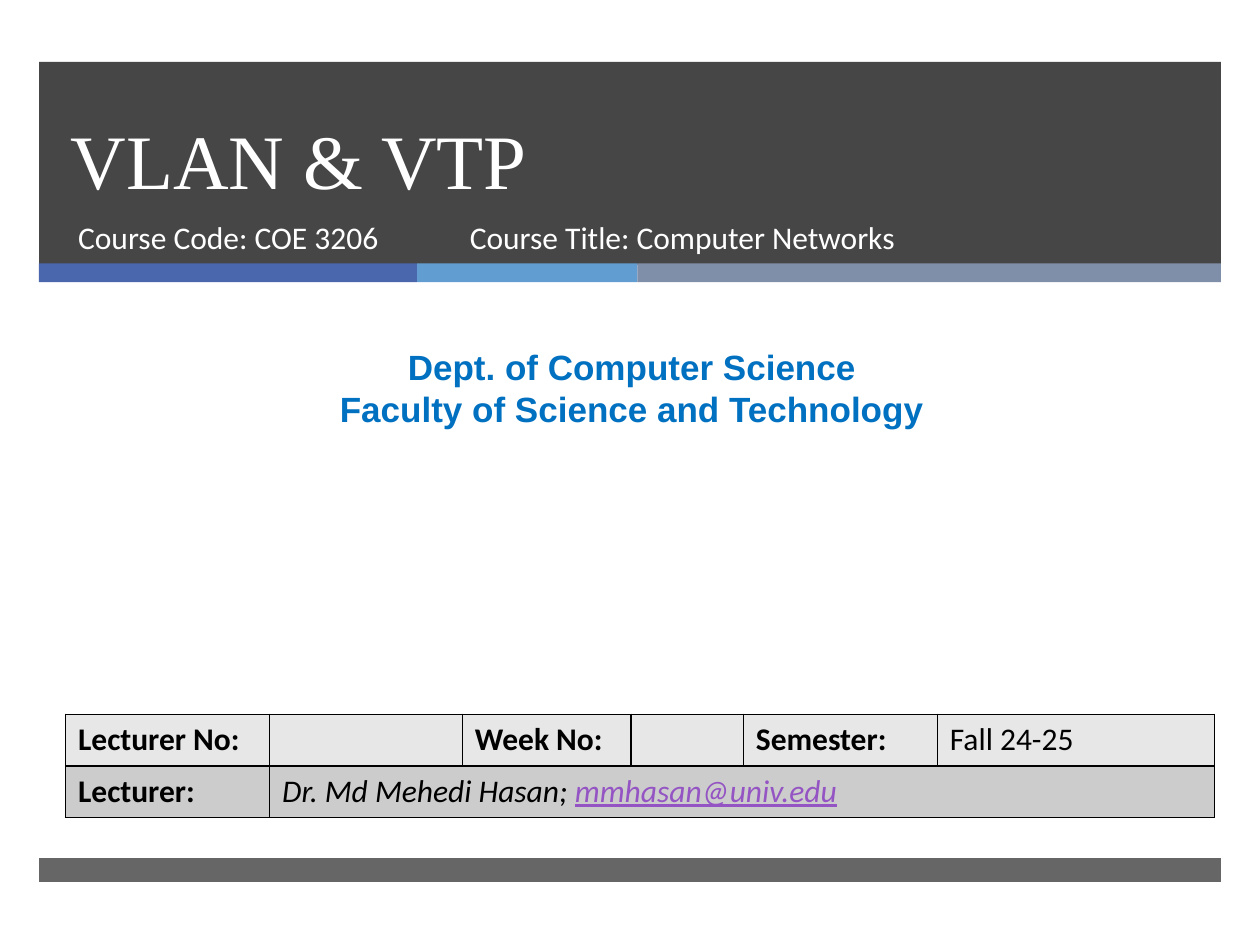
from lxml.etree import SubElement
from pptx import Presentation
from pptx.dml.color import RGBColor
from pptx.enum.shapes import MSO_SHAPE
from pptx.enum.text import MSO_ANCHOR, MSO_AUTO_SIZE, PP_ALIGN
from pptx.oxml import parse_xml
from pptx.oxml.ns import nsdecls, qn
from pptx.util import Inches, Pt


def color(code):
    return RGBColor.from_string(code)


class Deck:
    sans = "Calibri"
    white = "FFFFFF"
    black = "000000"
    dark = "262626"

    def __init__(self, wide, high):
        self.prs = Presentation()
        self.prs.slide_width = Inches(wide)
        self.prs.slide_height = Inches(high)
        self.slide = self.prs.slides.add_slide(self.prs.slide_layouts[0])

    def bar(self, left, top, wide, high, fill, alpha=100):
        shape = self.slide.shapes.add_shape(
            MSO_SHAPE.RECTANGLE, Inches(left), Inches(top), Inches(wide), Inches(high))
        shape.shadow.inherit = False
        shape.fill.solid()
        shape.fill.fore_color.rgb = color(fill)
        shape.line.fill.background()
        if alpha < 100:
            tone = shape._element.spPr.find(qn("a:solidFill"))[0]
            SubElement(tone, qn("a:alpha")).set("val", str(alpha * 1000))

    def font(self, run, size, name, tint, bold=False, slant=False, under=False):
        run.font.size = Pt(size)
        run.font.name = name
        run.font.color.rgb = color(tint)
        run.font.bold = bold
        run.font.italic = slant
        run.font.underline = under

    def fit(self, shape, box, text, size, name, tint,
            bold=False, align=PP_ALIGN.LEFT, anchor=MSO_ANCHOR.TOP, pitch=None):
        shape.left, shape.top, shape.width, shape.height = map(Inches, box)
        frame = shape.text_frame
        frame.text = text
        frame.word_wrap = True
        frame.auto_size = MSO_AUTO_SIZE.NONE
        frame.vertical_anchor = anchor
        for para in frame.paragraphs:
            para.alignment = align
            para.space_before = Pt(0)
            if pitch:
                para.line_spacing = Pt(pitch)
            for run in para.runs:
                self.font(run, size, name, tint, bold)

    def label(self, box, *args, **style):
        shape = self.slide.shapes.add_textbox(*map(Inches, box))
        self.fit(shape, box, *args, **style)

    def table(self, left, top, cols, high, fills):
        grid = self.slide.shapes.add_table(
            len(fills), len(cols), Inches(left), Inches(top),
            Inches(sum(cols)), Inches(high * len(fills))).table
        for col, wide in zip(grid.columns, cols):
            col.width = Inches(wide)
        for row, fill in zip(grid.rows, fills):
            row.height = Inches(high)
            for cell in row.cells:
                cell.fill.solid()
                cell.fill.fore_color.rgb = color(fill)
                self.edge(cell)
        return grid

    def edge(self, cell):
        props = cell._tc.get_or_add_tcPr()
        for spot, side in enumerate("LRTB"):
            props.insert(spot, parse_xml(
                f'<a:ln{side} {nsdecls("a")} w="12700"><a:solidFill>'
                f'<a:srgbClr val="{self.black}"/></a:solidFill></a:ln{side}>'))

    def entry(self, cell, *parts):
        para = cell.text_frame.paragraphs[0]
        for text, style in parts:
            run = para.add_run()
            run.text = text
            self.font(run, 18, self.sans, **{"tint": self.black, **style})


def main():
    deck = Deck(10, 7.5)

    # Header band, accent strip and footer band
    deck.bar(0.31, 0.49, 9.38, 1.61, deck.dark, 85)
    left = 0.31
    for wide, fill in ((3, "4A66AC"), (1.75, "629DD1"), (4.63, "7F8FA9")):
        deck.bar(left, 2.09, wide, 0.15, fill)
        left += wide
    deck.bar(0.31, 6.81, 9.38, 0.19, deck.dark, 70)

    # Title and course details; placeholders go in front of the bands
    title, sub = deck.slide.placeholders
    tree = deck.slide.shapes._spTree
    for shape in (title, sub):
        tree.append(shape._element)
    deck.fit(title, (0.46, 0.49, 8.54, 1.19), "VLAN & VTP", 44, "Times New Roman",
             deck.white, anchor=MSO_ANCHOR.BOTTOM, pitch=46)
    deck.fit(sub, (0.52, 1.68, 3.05, 0.53), "Course Code: COE 3206", 18,
             deck.sans, deck.white)
    deck.label((3.63, 1.68, 4.55, 0.53), "Course Title: Computer Networks", 18,
               deck.sans, deck.white)

    # Department
    deck.label((0.08, 2.69, 9.87, 0.77),
               "Dept. of Computer Science\nFaculty of Science and Technology",
               20, "Arial", "0070C0", bold=True, align=PP_ALIGN.CENTER)

    # Lecture table
    grid = deck.table(0.52, 5.67, (1.62, 1.53, 1.34, 0.89, 1.54, 2.2), 0.41,
                      ("E7E7E7", "CCCCCC"))
    grid.cell(1, 1).merge(grid.cell(1, 5))
    bold = {"bold": True}
    for row, col, text in ((0, 0, "Lecturer No:"), (0, 2, "Week No:"),
                           (0, 4, "Semester:"), (1, 0, "Lecturer:")):
        deck.entry(grid.cell(row, col), (text, bold))
    deck.entry(grid.cell(0, 5), ("Fall 24-25", {}))
    deck.entry(grid.cell(1, 1),
               ("Dr. Md Mehedi Hasan; ", {"slant": True}),
               ("mmhasan@univ.edu", {"slant": True, "under": True, "tint": "9454C3"}))

    deck.prs.save("out.pptx")


if __name__ == "__main__":
    main()
